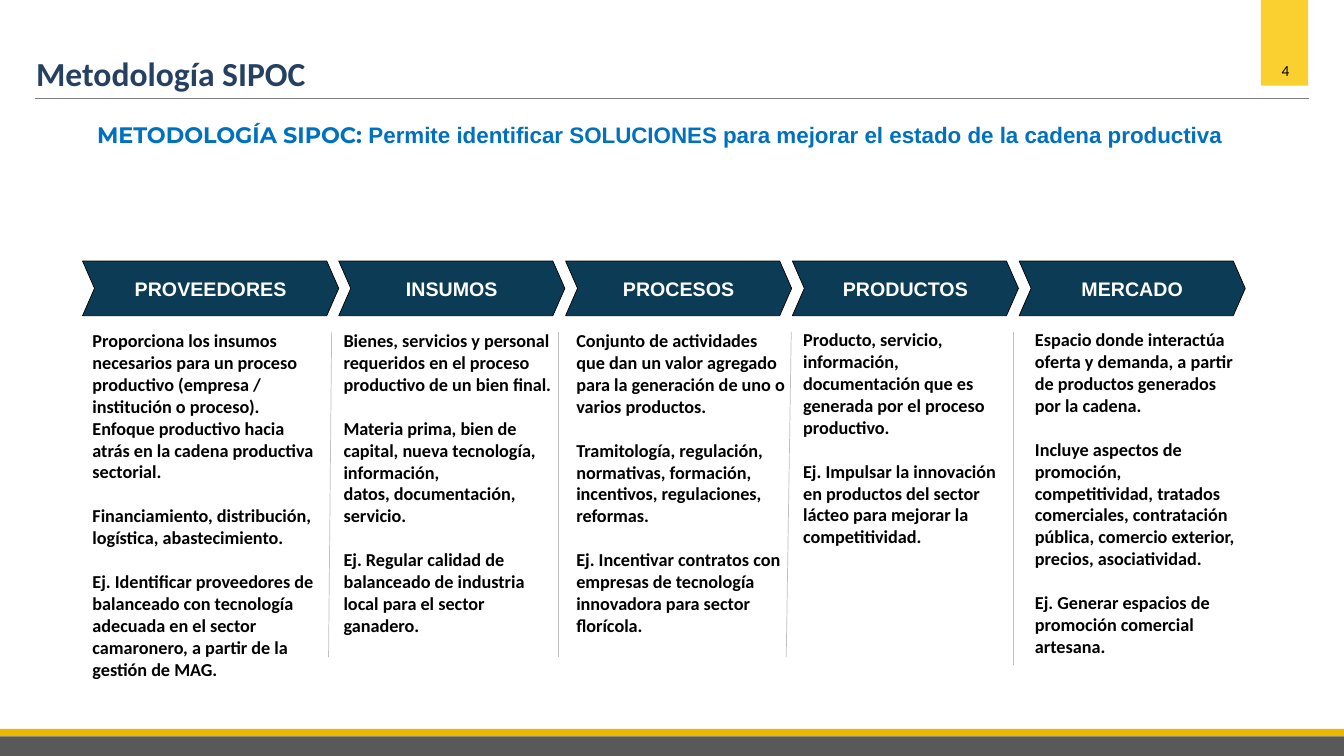
import pptx
import pptx.util
import pptx.dml.color
import pptx.enum.shapes
import pptx.enum.text
import pptx.oxml.ns
import lxml.etree
from dataclasses import dataclass

Pt = pptx.util.Pt
SHAPE = pptx.enum.shapes.MSO_SHAPE
ALIGN = pptx.enum.text.PP_ALIGN


@dataclass(frozen=True)
class Theme:
    navy: str = "0C3C55"
    title: str = "254061"
    blue: str = "0070C0"
    tab: str = "F9D030"
    gold: str = "EBB700"
    gray: str = "595959"
    rule: str = "808080"
    divider: str = "BFBFBF"
    black: str = "000000"
    white: str = "FFFFFF"
    sans: str = "Calibri"
    label: str = "Arial"
    accent: str = "Montserrat"
    title_size: float = 24
    subtitle_size: float = 16
    label_size: float = 14
    body_size: float = 13
    number_size: float = 11
    group_gap: float = 15.8


THEME = Theme()

STAGES = ["PROVEEDORES", "INSUMOS", "PROCESOS", "PRODUCTOS", "MERCADO"]

COLUMNS = [
    (59, 231.8, 175.7, 259, [
        ["Proporciona los insumos necesarios para un proceso productivo (empresa / "
         "institución o proceso). Enfoque productivo hacia atrás en la cadena "
         "productiva sectorial."],
        ["Financiamiento, distribución, logística, abastecimiento."],
        ["Ej. Identificar proveedores de balanceado con tecnología adecuada en el "
         "sector camaronero, a partir de la gestión de MAG."]]),
    (238.3, 231.8, 166.3, 227.5, [
        ["Bienes, servicios y personal requeridos en el proceso productivo de un "
         "bien final."],
        ["Materia prima, bien de capital, nueva tecnología, información,",
         "datos, documentación,",
         "servicio."],
        ["Ej. Regular calidad de balanceado de industria local para el sector "
         "ganadero."]]),
    (404.6, 231.8, 165.6, 227.5, [
        ["Conjunto de actividades que dan un valor agregado para la generación de "
         "uno o varios productos."],
        ["Tramitología, regulación, normativas, formación, incentivos, "
         "regulaciones, reformas."],
        ["Ej. Incentivar contratos con empresas de tecnología innovadora para "
         "sector florícola."]]),
    (566.6, 231.1, 157, 165, [
        ["Producto, servicio, información, documentación que es generada por el "
         "proceso productivo."],
        ["Ej. Impulsar la innovación en productos del sector lácteo para mejorar "
         "la competitividad."]]),
    (732.2, 231.1, 157, 259, [
        ["Espacio donde interactúa oferta y demanda, a partir de productos "
         "generados por la cadena."],
        ["Incluye aspectos de promoción, competitividad, tratados comerciales, "
         "contratación pública, comercio exterior, precios, asociatividad."],
        ["Ej. Generar espacios de promoción comercial artesana."]]),
]

DIVIDERS = [(236.9, 234.7, 469.4), (398.9, 398.9, 469.4),
            (565.2, 561.6, 469.4), (723.6, 723.6, 475.2)]


def rgb(color):
    return pptx.dml.color.RGBColor.from_string(color)


def add_run(p, text, size, color, font=THEME.sans, bold=True):
    r = p.add_run()
    r.text = text
    r.font.size = Pt(size)
    r.font.name = font
    r.font.bold = bold
    r.font.color.rgb = rgb(color)


def add_box(s, x, y, w, h, align=ALIGN.LEFT):
    tf = s.shapes.add_textbox(Pt(x), Pt(y), Pt(w), Pt(h)).text_frame
    tf.word_wrap = True
    tf.paragraphs[0].alignment = align
    return tf


def add_filled(s, kind, x, y, w, h, fill):
    sp = s.shapes.add_shape(kind, Pt(x), Pt(y), Pt(w), Pt(h))
    sp.shadow.inherit = False
    sp.fill.solid()
    sp.fill.fore_color.rgb = rgb(fill)
    sp.line.fill.background()
    return sp


def add_line(s, x1, y1, x2, y2, color, width):
    line = s.shapes.add_connector(pptx.enum.shapes.MSO_CONNECTOR.STRAIGHT,
                                  Pt(x1), Pt(y1), Pt(x2), Pt(y2))
    line.line.color.rgb = rgb(color)
    line.line.width = Pt(width)
    lxml.etree.SubElement(line._element.spPr, pptx.oxml.ns.qn("a:effectLst"))


def add_stage(s, name, x, w):
    sp = add_filled(s, SHAPE.CHEVRON, x, 186.5, w, 39, THEME.navy)
    sp.adjustments[0] = 0.219
    sp.line.color.rgb = rgb(THEME.black)
    sp.line.width = Pt(0.5)
    tf = sp.text_frame
    tf.word_wrap = True
    tf.vertical_anchor = pptx.enum.text.MSO_ANCHOR.MIDDLE
    tf.margin_left = tf.margin_right = tf.margin_top = tf.margin_bottom = Pt(5.76)
    p = tf.paragraphs[0]
    p.alignment = ALIGN.CENTER
    add_run(p, name, THEME.label_size, THEME.white, THEME.label)


def add_column(s, x, y, w, h, groups):
    tf = add_box(s, x, y, w, h)
    for g, group in enumerate(groups):
        for i, text in enumerate(group):
            first = g == 0 and i == 0
            p = tf.paragraphs[0] if first else tf.add_paragraph()
            if g > 0 and i == 0:
                p.space_before = Pt(THEME.group_gap)
            add_run(p, text, THEME.body_size, THEME.black)


def add_frame(s):
    add_filled(s, SHAPE.RECTANGLE, 900.7, 0, 33.8, 61.2, THEME.tab)
    add_filled(s, SHAPE.RECTANGLE, 0, 520.6, 960, 5.4, THEME.gold)
    add_filled(s, SHAPE.RECTANGLE, 0, 526, 960, 14, THEME.gray)
    number = add_box(s, 901.4, 40.3, 33.8, 20.9, ALIGN.CENTER)
    add_run(number.paragraphs[0], "4", THEME.number_size, THEME.black, bold=False)


def add_headings(s):
    title = add_box(s, 18.7, 34.6, 530, 36)
    add_run(title.paragraphs[0], "Metodología SIPOC", THEME.title_size, THEME.title)
    add_line(s, 25.2, 70.6, 935.3, 70.6, THEME.rule, 0.75)
    p = add_box(s, 44.4, 82.8, 854, 26.6, ALIGN.CENTER).paragraphs[0]
    add_run(p, "METODOLOGÍA SIPOC: ", THEME.subtitle_size, THEME.blue, THEME.accent)
    add_run(p, "Permite identificar SOLUCIONES para mejorar el estado de la cadena productiva",
            THEME.subtitle_size, THEME.blue, THEME.label)


def main():
    prs = pptx.Presentation()
    prs.slide_width, prs.slide_height = Pt(960), Pt(540)
    s = prs.slides.add_slide(prs.slide_layouts[6])
    add_frame(s)
    add_headings(s)
    add_stage(s, STAGES[0], 59, 183)
    for i, name in enumerate(STAGES[1:]):
        add_stage(s, name, 242 + 162 * i, 161.5)
    for top_x, bottom_x, bottom in DIVIDERS:
        add_line(s, top_x, 236.9, bottom_x, bottom, THEME.divider, 0.5)
    for column in COLUMNS:
        add_column(s, *column)
    prs.save("out.pptx")


if __name__ == "__main__":
    main()
